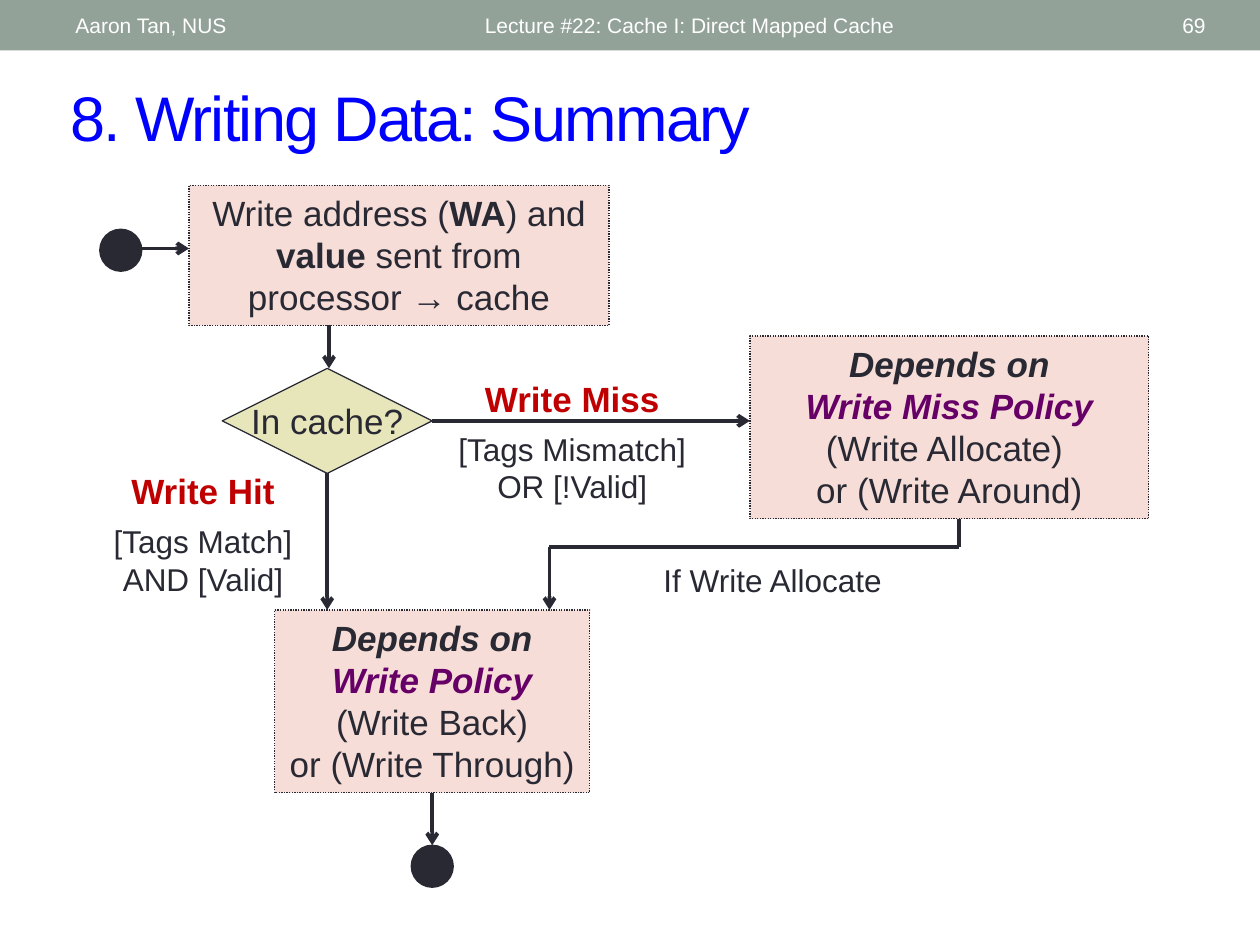
from lxml.etree import SubElement as Sub
from pptx import Presentation
from pptx.dml.color import RGBColor as RGB
from pptx.enum.dml import MSO_LINE as Dash
from pptx.enum.shapes import MSO_CONNECTOR as Link, MSO_SHAPE as Kind
from pptx.enum.text import MSO_ANCHOR as Anchor, PP_ALIGN as Align
from pptx.oxml.ns import qn
from pptx.util import Pt

DARK = RGB(0x29, 0x29, 0x34)
PINK = RGB(0xF6, 0xDD, 0xD8)
LIME = RGB(0xE7, 0xE5, 0xBA)
SAGE = RGB(0x93, 0xA2, 0x99)
WHITE = RGB(0xFF, 0xFF, 0xFF)
BLUE = RGB(0x00, 0x00, 0xFF)
RED = RGB(0xC0, 0x00, 0x00)
PLUM = RGB(0x66, 0x00, 0x66)
FACE = "Arial"


def style(para, size, color, bold=False, slant=False):
    font = para.font
    font.name, font.size = FACE, Pt(size)
    font.bold, font.italic = bold, slant
    font.color.rgb = color


def write(shape, lines, align=Align.CENTER, anchor=Anchor.TOP, wrap=True, gap=0):
    frame = shape.text_frame
    frame.word_wrap = wrap
    frame.vertical_anchor = anchor
    for i, (text, *look) in enumerate(lines):
        para = frame.add_paragraph() if i else frame.paragraphs[0]
        para.alignment = align
        if i:
            para.space_before = Pt(gap)
        style(para, *look)
        for j, part in enumerate(text.split("*")):
            run = para.add_run()
            run.text = part
            if j % 2:
                run.font.bold = True


def draw(slide, kind, box, fill, edge=DARK, dash=None):
    shape = slide.shapes.add_shape(kind, *map(Pt, box))
    shape.shadow.inherit = False
    shape.fill.solid()
    shape.fill.fore_color.rgb = fill
    if edge is None:
        shape.line.fill.background()
    else:
        shape.line.color.rgb = edge
        shape.line.width = Pt(0.75)
        shape.line.dash_style = dash
    return shape


def label(slide, box, lines, **look):
    write(slide.shapes.add_textbox(*map(Pt, box)), lines, **look)


def step(slide, box, lines):
    shape = draw(slide, Kind.RECTANGLE, box, PINK, dash=Dash.ROUND_DOT)
    write(shape, lines)
    return shape


def dot(slide, x, y):
    return draw(slide, Kind.OVAL, (x, y, 24, 24), DARK)


def link(slide, start, end, head=True, source=None, target=None):
    line = slide.shapes.add_connector(Link.STRAIGHT, *map(Pt, (*start, *end)))
    if source:
        line.begin_connect(*source)
    if target:
        line.end_connect(*target)
    line.line.color.rgb = DARK
    line.line.width = Pt(2.25)
    if head:
        Sub(line.line._get_or_add_ln(), qn("a:tailEnd"), type="arrow")
    Sub(line._element.spPr, qn("a:effectLst"))


def header(slide, box):
    x, y, w, h = box
    draw(slide, Kind.RECTANGLE, box, SAGE, None)
    for left, width, text, align in (
        (36, 228, "Aaron Tan, NUS", Align.LEFT),
        (270, 324, "Lecture #22: Cache I: Direct Mapped Cache", Align.LEFT),
        (628, 68, "69", Align.RIGHT),
    ):
        label(slide, (x + left, y + 1.5, width, h - 3),
              [(text, 12, WHITE)], align=align, anchor=Anchor.MIDDLE)


def title(slide, box):
    shape = slide.shapes.title
    shape.left, shape.top, shape.width, shape.height = map(Pt, box)
    write(shape, [("8. Writing Data: Summary", 36, BLUE)],
          align=Align.LEFT, anchor=Anchor.MIDDLE)
    run = shape.text_frame.paragraphs[0].runs[0]
    run._r.get_or_add_rPr().set("spc", "-100")


def flow(slide, box):
    x, y, w, h = box

    def at(left, top, *size):
        return (x + left, y + top, *size)

    def policy(place, name, *picks):
        return step(slide, place, [("Depends on", 20, DARK, True, True),
                                   (name, 20, PLUM, True, True),
                                   *((pick, 20, DARK) for pick in picks)])

    def branch(place, name, test):
        label(slide, place, [(name, 20, RED, True), (test, 18, DARK)], gap=6)

    dot(slide, *at(0, 25))
    step(slide, at(51, 0, 240, 80),
         [("Write address (*WA*) and *value* sent from processor → cache", 20, DARK)])
    check = draw(slide, Kind.DIAMOND, at(70, 104.5, 120, 60), LIME)
    write(check, [("In cache?", 20, DARK)], anchor=Anchor.MIDDLE, wrap=False)
    policy(at(371.5, 86, 228, 104.5), "Write Miss Policy",
           "(Write Allocate) ", "or (Write Around)")
    last = policy(at(100, 242.5, 180, 104.5), "Write Policy",
                  "(Write Back)", "or (Write Through)")
    done = dot(slide, *at(178, 377))

    link(slide, at(24, 36), at(51, 36))
    link(slide, at(131, 80), at(131, 104.5))
    link(slide, at(190, 134.5), at(371.5, 134.5), source=(check, 3))
    link(slide, at(130, 164.5), at(130, 242.5), source=(check, 2))
    link(slide, at(491, 190.5), at(491, 206.5), head=False)
    link(slide, at(491, 206.5), at(257, 206.5), head=False)
    link(slide, at(257, 206.5), at(257, 242.5))
    link(slide, at(190, 347), at(190, 377), source=(last, 2), target=(done, 0))

    branch(at(-1, 159, 120, 81), "Write Hit", "[Tags Match] AND [Valid]")
    branch(at(192, 106, 156, 81), "Write Miss", "[Tags Mismatch] OR [!Valid]")
    label(slide, at(306.5, 211, 156, 29), [("If Write Allocate", 18, DARK)])


def main():
    deck = Presentation()
    deck.slide_width, deck.slide_height = Pt(720), Pt(540)
    slide = deck.slides.add_slide(deck.slide_layouts[5])
    header(slide, (0, 0, 720, 28.8))
    title(slide, (33, 41, 663, 50.5))
    flow(slide, (57, 106, 599.5, 401))
    deck.save("out.pptx")


if __name__ == "__main__":
    main()
